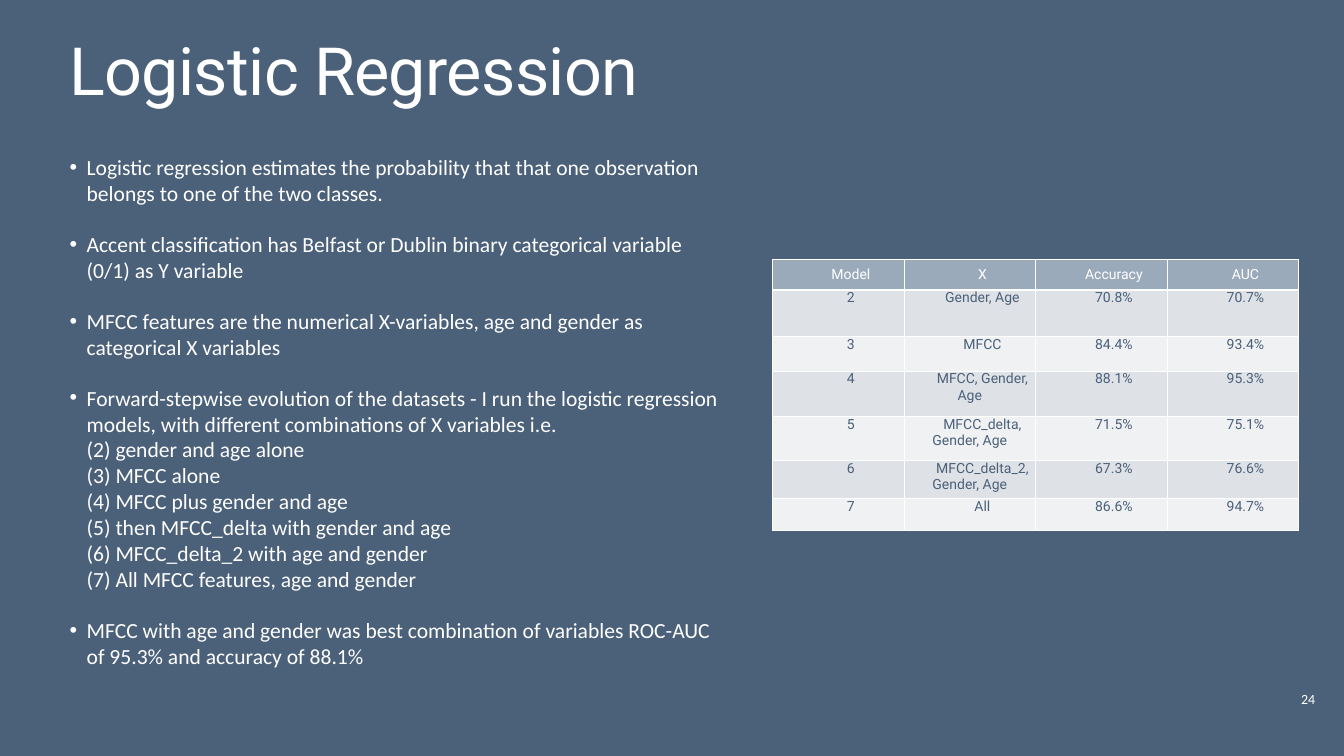
from lxml.etree import SubElement
from pptx import Presentation
from pptx.dml.color import RGBColor
from pptx.enum.text import MSO_ANCHOR, MSO_AUTO_SIZE, PP_ALIGN
from pptx.oxml.ns import qn
from pptx.util import Inches, Pt

# Content
TITLE = "Logistic Regression"
BULLETS = [
    ["Logistic regression estimates the probability that that one observation "
     "belongs to one of the two classes."],
    ["Accent classification has Belfast or Dublin binary categorical variable (0/1) as Y variable"],
    ["MFCC features are the numerical X-variables, age and gender as categorical X variables"],
    ["Forward-stepwise evolution of the datasets - I run the logistic regression models, "
     "with different combinations of X variables i.e. ",
     "(2) gender and age alone ",
     "(3) MFCC alone",
     "(4) MFCC plus gender and age",
     "(5) then MFCC_delta with gender and age",
     "(6) MFCC_delta_2 with age and gender",
     "(7) All MFCC features, age and gender"],
    ["MFCC with age and gender was best combination of variables ROC-AUC "
     "of 95.3% and accuracy of 88.1%"],
]
RESULTS = [
    ("Model", "X", "Accuracy", "AUC"),
    ("2", "Gender, Age", "70.8%", "70.7%"),
    ("3", "MFCC", "84.4%", "93.4%"),
    ("4", "MFCC, Gender, Age", "88.1%", "95.3%"),
    ("5", "MFCC_delta, Gender, Age", "71.5%", "75.1%"),
    ("6", "MFCC_delta_2,\nGender, Age", "67.3%", "76.6%"),
    ("7", "All", "86.6%", "94.7%"),
]
ROW_HEIGHTS = [0.61, 0.92, 0.69, 0.9, 0.87, 0.76, 0.63]
COLUMN_WIDTH = 2.61
PAGE_NUMBER = "24"

WHITE = RGBColor(0xFF, 0xFF, 0xFF)
SLATE = RGBColor(0x4B, 0x60, 0x79)
HEADER_FILL = RGBColor(0x9B, 0xAA, 0xBB)
BAND_FILLS = [RGBColor(0xEF, 0xF1, 0xF3), RGBColor(0xDE, 0xE2, 0xE7)]


def add_lines(paragraph, lines, size, font, color):
    for i, line in enumerate(lines):
        if i:
            paragraph.add_line_break()
        run = paragraph.add_run()
        run.text = line
        run.font.size = Pt(size)
        run.font.name = font
        run.font.color.rgb = color
    return paragraph


def set_frame(frame, inset, anchor, wrap=True, auto_size=MSO_AUTO_SIZE.NONE):
    frame.margin_left = frame.margin_right = Inches(inset)
    frame.margin_top = frame.margin_bottom = Inches(inset)
    frame.vertical_anchor = anchor
    frame.word_wrap = wrap
    frame.auto_size = auto_size


def set_indent(paragraph, left, first):
    properties = paragraph._p.get_or_add_pPr()
    properties.set("marL", str(Inches(left)))
    properties.set("indent", str(Inches(first)))
    return properties


def set_borders(cell, widths):
    properties = cell._tc.get_or_add_tcPr()
    for side, width in zip("LRTB", widths):
        line = SubElement(properties, qn(f"a:ln{side}"), w=str(Pt(width)))
        fill = SubElement(line, qn("a:solidFill"))
        SubElement(fill, qn("a:srgbClr"), val=str(WHITE))


prs = Presentation()
prs.slide_width, prs.slide_height = Inches(26.67), Inches(15)
slide = prs.slides.add_slide(prs.slide_layouts[5])
slide.background.fill.solid()
slide.background.fill.fore_color.rgb = SLATE

# Title
title = slide.shapes.title
title.left, title.top = Inches(1.32), Inches(0.69)
title.width, title.height = Inches(24.03), Inches(1.85)
set_frame(title.text_frame, 0.06, MSO_ANCHOR.TOP)
heading = add_lines(title.text_frame.paragraphs[0], [TITLE], 95, "Roboto", WHITE)
heading.alignment = PP_ALIGN.LEFT
heading.line_spacing = 0.9
heading.runs[0]._r.get_or_add_rPr().set("spc", "-100")

# Bullets
body = slide.shapes.add_textbox(Inches(1.32), Inches(2.99), Inches(13.06), Inches(11.25)).text_frame
set_frame(body, 0.06, MSO_ANCHOR.TOP)
for i, lines in enumerate(BULLETS):
    paragraph = body.add_paragraph() if i else body.paragraphs[0]
    add_lines(paragraph, lines, 30.8, "Calibri", WHITE)
    paragraph.space_before = Pt(36)
    properties = set_indent(paragraph, 0.34, -0.34)
    SubElement(properties, qn("a:buFont"), typeface="Arial")
    SubElement(properties, qn("a:buChar"), char="•")

# Results table
columns = len(RESULTS[0])
table = slide.shapes.add_table(
    len(RESULTS), columns, Inches(15.33), Inches(5.14),
    Inches(COLUMN_WIDTH * columns), Inches(sum(ROW_HEIGHTS))).table
for column in table.columns:
    column.width = Inches(COLUMN_WIDTH)
for r, (values, height) in enumerate(zip(RESULTS, ROW_HEIGHTS)):
    table.rows[r].height = Inches(height)
    is_header = r == 0
    for c, value in enumerate(values):
        cell = table.cell(r, c)
        cell.margin_left = cell.margin_right = cell.margin_top = cell.margin_bottom = 0
        cell.vertical_anchor = MSO_ANCHOR.MIDDLE if is_header else MSO_ANCHOR.TOP
        set_borders(cell, (1, 1, 3 if r == 1 else 1, 3 if is_header else 1))
        cell.fill.solid()
        cell.fill.fore_color.rgb = HEADER_FILL if is_header else BAND_FILLS[r % 2]
        paragraph = add_lines(cell.text_frame.paragraphs[0], value.split("\n"), 20,
                              "Roboto", WHITE if is_header else SLATE)
        paragraph.alignment = PP_ALIGN.CENTER
        paragraph.space_before = Pt(47)
        set_indent(paragraph, 0, 0.5)
        for run in paragraph.runs:
            run.font.bold = False

# Page number
number = slide.shapes.add_textbox(Inches(25.76), Inches(13.62), Inches(0.44), Inches(0.47)).text_frame
set_frame(number, 0.06, MSO_ANCHOR.BOTTOM, False, MSO_AUTO_SIZE.SHAPE_TO_FIT_TEXT)
add_lines(number.paragraphs[0], [PAGE_NUMBER], 20, "Calibri", WHITE)

prs.save("out.pptx")
